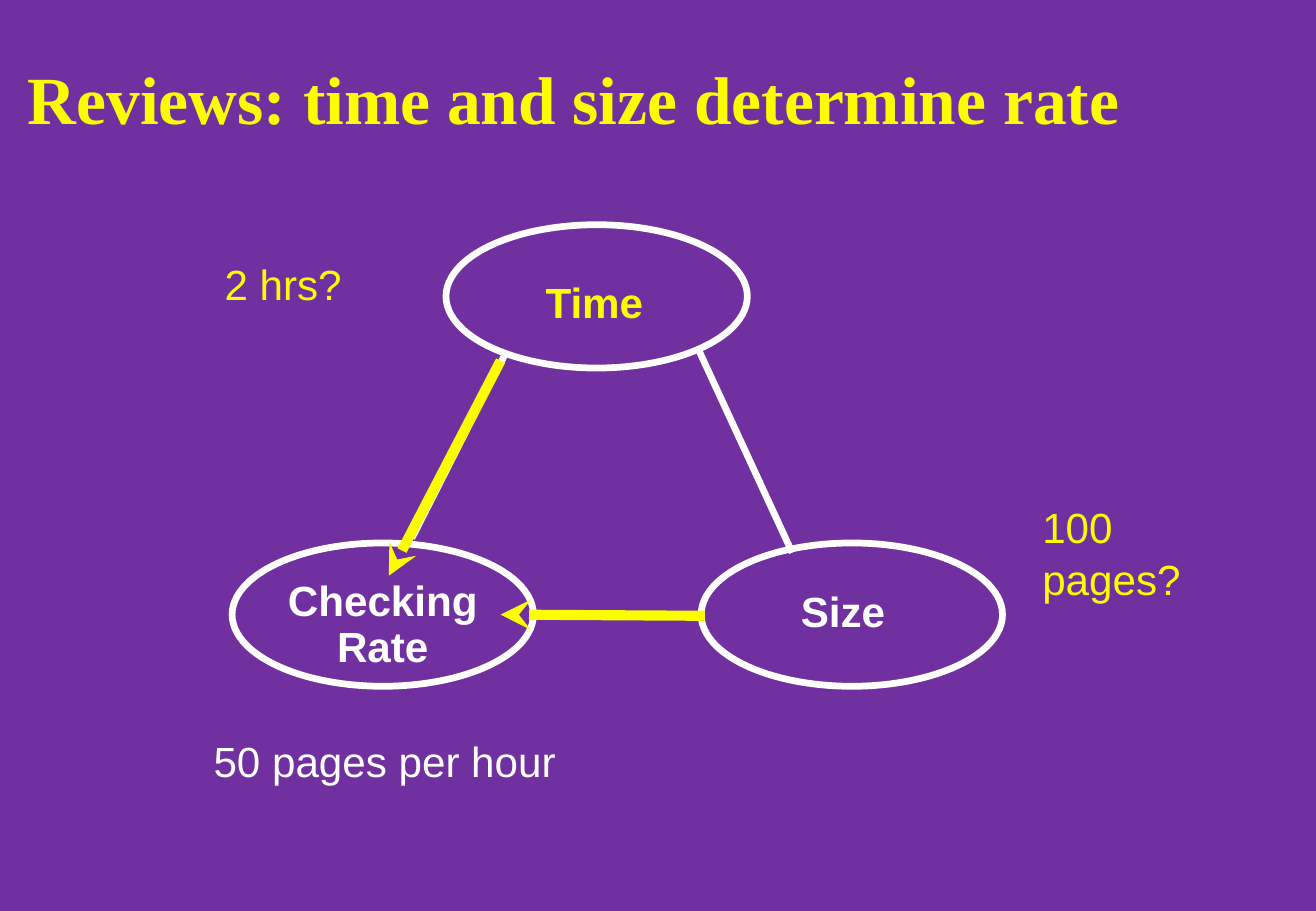
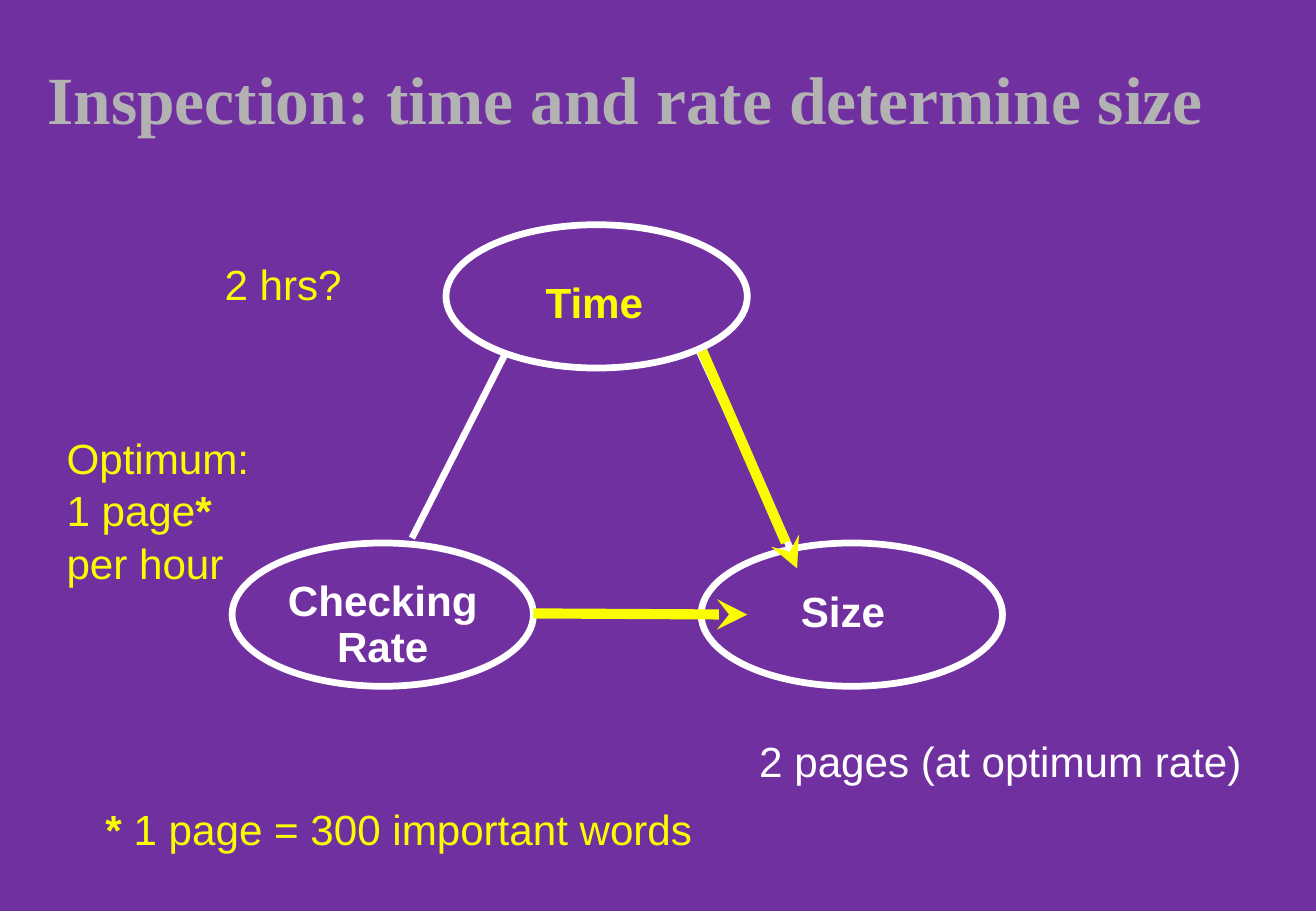
from lxml.etree import SubElement
from pptx import Presentation
from pptx.dml.color import RGBColor
from pptx.enum.shapes import MSO_CONNECTOR, MSO_SHAPE
from pptx.enum.text import MSO_ANCHOR, PP_ALIGN
from pptx.oxml.ns import qn
from pptx.util import Inches, Pt

PURPLE, YELLOW, WHITE, GREY = "7030A0", "FAFD00", "FFFFFF", "B2B2B2"

# Parts of the triangle that both slides show
OVAL_SIZE = (2.48, 1.18)
OVALS = [(3.67, 1.85), (1.91, 4.47), (5.77, 4.47)]
EDGES = [
    ((4.17, 2.89), (3.39, 4.43)),
    ((4.43, 5.06), (5.74, 5.06)),
    ((6.52, 4.55), (5.74, 2.86)),
]
LABELS = [
    (["Time"], (4.42, 2.29, 1.1, 0.42), YELLOW, PP_ALIGN.LEFT),
    (["Checking", "Rate"], (2.25, 4.74, 1.8, 0.78), WHITE, PP_ALIGN.CENTER),
    (["Size"], (6.52, 4.83, 1, 0.42), WHITE, PP_ALIGN.LEFT),
]
TIME_NOTE = (["2 hrs?"], (1.75, 2.06, 1.4, 0.52), YELLOW)

SLIDES = [
    {
        "title": "Reviews: time and size determine rate",
        "title_at": (0.16, 0.44, 9.5, 0.73),
        "title_color": YELLOW,
        "arrows": [((4.12, 2.97), (3.2, 4.74)), ((5.8, 5.07), (4.12, 5.06))],
        "notes": [
            TIME_NOTE,
            (["100 pages?"], (8.48, 4.06, 1.7, 0.92), YELLOW),
            (["50 pages per hour"], (1.66, 5.99, 3.3, 0.52), WHITE),
        ],
    },
    {
        "title": "Inspection: time and rate determine size",
        "title_at": (0.32, 0.44, 10, 0.73),
        "title_color": GREY,
        "arrows": [((5.78, 2.89), (6.56, 4.68)), ((4.39, 5.05), (6.15, 5.06))],
        "notes": [
            TIME_NOTE,
            (["Optimum:", "1 page*", "per hour"], (0.45, 3.49, 1.9, 1.35), YELLOW),
            (["2 pages (at optimum rate)"], (6.15, 5.99, 4.5, 0.52), WHITE),
            (["* 1 page = 300 important words"], (0.77, 6.55, 5.5, 0.52), YELLOW),
        ],
    },
]


def rgb(color):
    return RGBColor.from_string(color)


def inches(lengths):
    return [Inches(length) for length in lengths]


def write(frame, lines, color, font="Arial", size=25, bold=False,
          align=PP_ALIGN.LEFT, spacing=1, insets=(0.1, 0.05),
          anchor=MSO_ANCHOR.TOP):
    """Fill a text frame, one paragraph a line; asterisks are always bold."""
    frame.word_wrap = True
    frame.vertical_anchor = anchor
    frame.margin_left = frame.margin_right = Inches(insets[0])
    frame.margin_top = frame.margin_bottom = Inches(insets[1])
    for index, line in enumerate(lines):
        para = frame.add_paragraph() if index else frame.paragraphs[0]
        para.alignment = align
        para.line_spacing = spacing
        before, star, after = line.partition("*")
        for text in filter(None, (before, star, after)):
            span = para.add_run()
            span.text = text
            span.font.name = font
            span.font.size = Pt(size)
            span.font.bold = bold or text == "*"
            span.font.color.rgb = rgb(color)


def add_text(page, lines, place, color, **style):
    box = page.shapes.add_textbox(*inches(place))
    write(box.text_frame, lines, color, **style)


def add_line(page, start, end, color, width, arrow=False):
    line = page.shapes.add_connector(
        MSO_CONNECTOR.STRAIGHT, *inches(start + end))
    line.line.color.rgb = rgb(color)
    line.line.width = Pt(width)
    if arrow:
        SubElement(line.line._get_or_add_ln(), qn("a:tailEnd"), type="stealth")
    SubElement(line._element.spPr, qn("a:effectLst"))


def add_oval(page, corner):
    oval = page.shapes.add_shape(
        MSO_SHAPE.OVAL, *inches(corner + OVAL_SIZE))
    oval.shadow.inherit = False
    oval.fill.background()
    oval.line.color.rgb = rgb(WHITE)
    oval.line.width = Pt(4)


def add_page(deck, content):
    page = deck.slides.add_slide(deck.slide_layouts.get_by_name("Title Only"))
    title = page.shapes.title
    title.left, title.top, title.width, title.height = inches(content["title_at"])
    write(title.text_frame, [content["title"]], content["title_color"],
          font="Times New Roman", size=40, bold=True, insets=(0.07, 0.03),
          anchor=MSO_ANCHOR.BOTTOM)
    for corner in OVALS:
        add_oval(page, corner)
    for start, end in EDGES:
        add_line(page, start, end, WHITE, 4)
    for start, end in content["arrows"]:
        add_line(page, start, end, YELLOW, 6, arrow=True)
    for lines, place, color, align in LABELS:
        add_text(page, lines, place, color, bold=True, align=align,
                 spacing=0.91, insets=(0.07, 0.03))
    for lines, place, color in content["notes"]:
        add_text(page, lines, place, color, spacing=1.04)


def main():
    deck = Presentation()
    deck.slide_width, deck.slide_height = inches((10.83, 7.5))
    background = deck.slide_master.background.fill
    background.solid()
    background.fore_color.rgb = rgb(PURPLE)
    for content in SLIDES:
        add_page(deck, content)
    deck.save("out.pptx")


if __name__ == "__main__":
    main()
